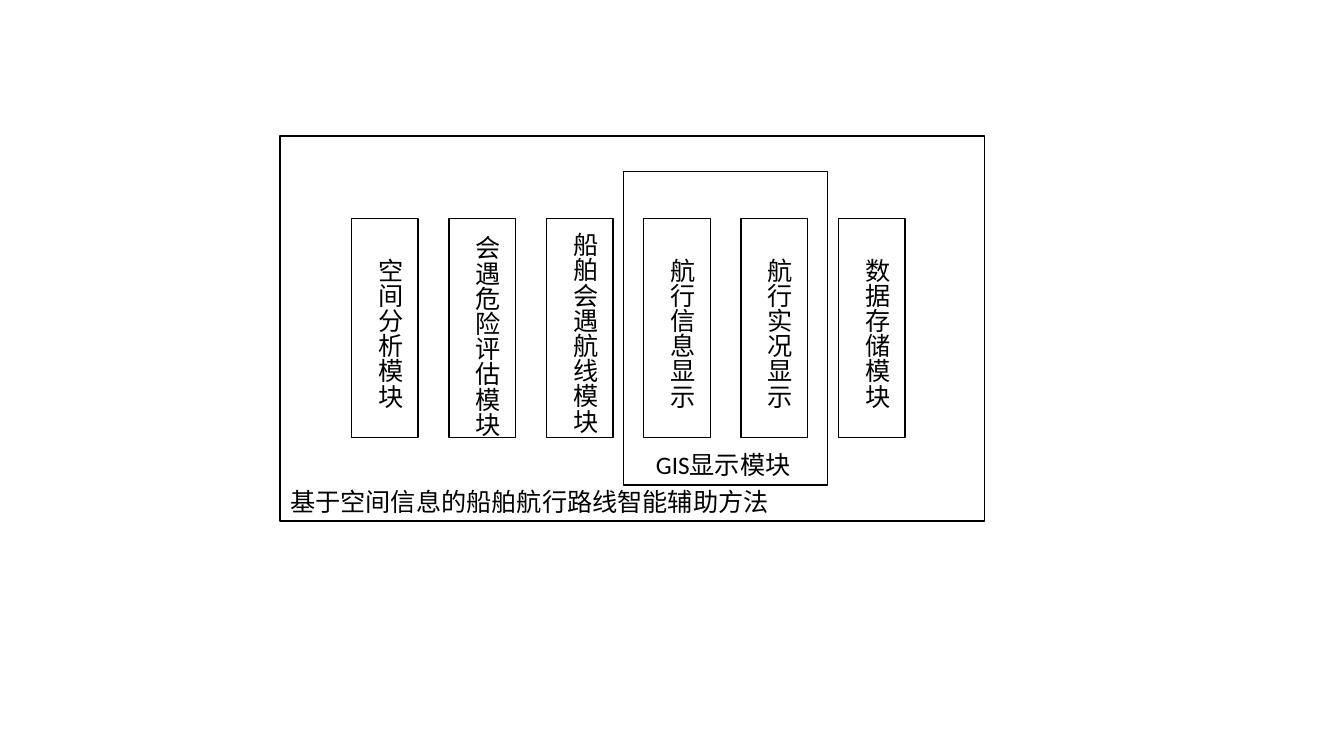
from pptx import Presentation
from pptx.dml.color import RGBColor
from pptx.enum.shapes import MSO_SHAPE as Shape
from pptx.enum.text import MSO_AUTO_SIZE as AutoSize
from pptx.util import Cm, Pt

# Content: module name, top and height of its vertical label (cm)
MODULES = [
    ("空间分析模块", 6.25, 4.06),
    ("会遇危险评估模块", 5.69, 5.33),
    ("船舶会遇航线模块", 5.61, 5.33),
    ("航行信息显示", 6.25, 4.06),
    ("航行实况显示", 6.25, 4.06),
    ("数据存储模块", 6.25, 4.06),
]
CAPTIONS = [
    ("GIS显示模块", (16.28, 11.2, 4.57, 1.02)),
    ("基于空间信息的船舶航行路线智能辅助方法", (7.06, 12.12, 14.27, 1.02)),
]

# Layout (cm): left, top, width, height
METHOD_FRAME = (7.06, 3.43, 17.75, 9.7)
GIS_FRAME = (15.72, 4.32, 5.13, 7.9)
FIRST_LEFT, MODULE_TOP, MODULE_PITCH = 8.86, 5.51, 2.454
MODULE_WIDTH, MODULE_HEIGHT, LABEL_WIDTH = 1.68, 5.51, 1.27
BLACK = "000000"

presentation = Presentation()
presentation.slide_width, presentation.slide_height = Cm(33.87), Cm(19.05)
slide = presentation.slides.add_slide(presentation.slide_layouts[6])


def color(value):
    return RGBColor.from_string(value)


def add_frame(box):
    shape = slide.shapes.add_shape(Shape.RECTANGLE, *map(Cm, box))
    shape.shadow.inherit = False
    shape.fill.background()
    shape.line.color.rgb = color(BLACK)
    shape.line.width = Pt(1)


def add_label(text, box, vertical=False):
    shape = slide.shapes.add_textbox(*map(Cm, box))
    text_frame = shape.text_frame
    text_frame.text = text
    text_frame.word_wrap = not vertical
    text_frame.auto_size = AutoSize.SHAPE_TO_FIT_TEXT
    if vertical:
        shape.element.txBody.bodyPr.set("vert", "eaVert")
    font = text_frame.paragraphs[0].runs[0].font
    font.name, font.size = "Calibri", Pt(18)
    font.color.rgb = color(BLACK)


# Frames
module_lefts = [FIRST_LEFT + i * MODULE_PITCH for i in range(len(MODULES))]
add_frame(METHOD_FRAME)
for left in module_lefts:
    add_frame((left, MODULE_TOP, MODULE_WIDTH, MODULE_HEIGHT))
add_frame(GIS_FRAME)

# Vertical module labels, centred across their frames
for left, (name, top, height) in zip(module_lefts, MODULES):
    label_left = left + (MODULE_WIDTH - LABEL_WIDTH) / 2
    add_label(name, (label_left, top, LABEL_WIDTH, height), vertical=True)

# Frame captions
for caption, box in CAPTIONS:
    add_label(caption, box)

presentation.save("out.pptx")
